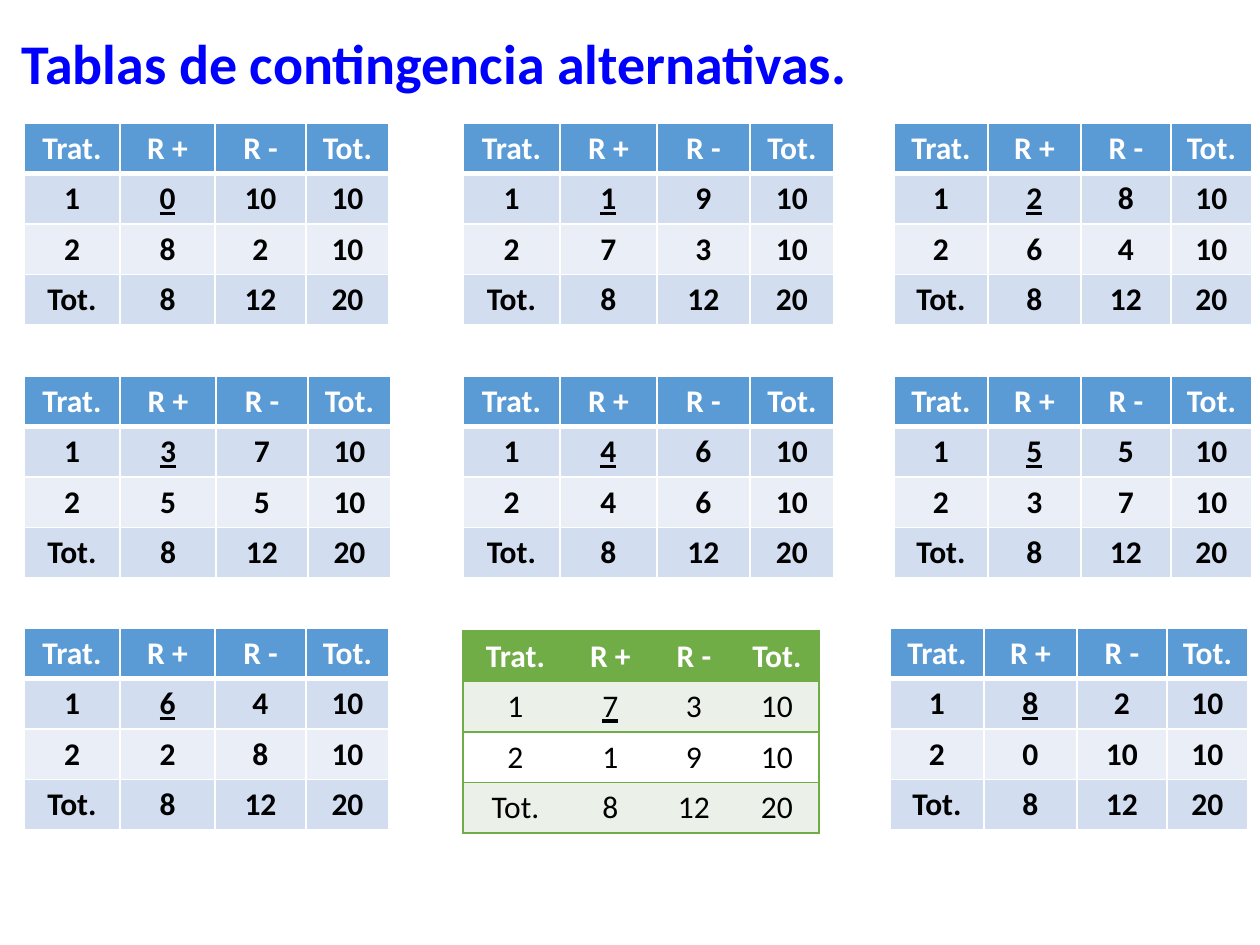
from lxml.etree import SubElement
from pptx import Presentation
from pptx.dml.color import RGBColor
from pptx.enum.text import MSO_ANCHOR, MSO_AUTO_SIZE, PP_ALIGN
from pptx.oxml.ns import qn
from pptx.util import Emu, Pt

# Content: every table follows from its first count and the fixed totals
TITLE = "Tablas de contingencia alternativas."
HEADER = ["Trat.", "R +", "R -", "Tot."]
GROUP, POSITIVES = 10, 8
OBSERVED = 7

# Layout in px: left, top and column widths of each table
NARROW, MEDIUM, WIDE, RIGHT = (96, 95, 91, 83), (96, 96, 92, 83), (97, 97, 93, 84), (94, 93, 90, 81)
TABLES = [
    (24, 123, NARROW), (463, 123, WIDE), (894, 123, RIGHT),
    (24, 376, MEDIUM), (463, 376, WIDE), (894, 376, RIGHT),
    (24, 628, NARROW), (463, 631, (105, 85, 82, 84)), (890, 628, RIGHT),
]
ROW_H = 50
COLORS = {"title": "0000FF", "white": "FFFFFF", "black": "000000"}
BLUE = {"head": "5B9BD5", "bands": ("D2DEEF", "EAEFF7"), "line": "FFFFFF",
        "head_line": 3, "inner": True, "bold": True}
GREEN = {"head": "70AD47", "bands": ("EBF1E9", "FFFFFF"), "line": "70AD47",
         "head_line": 1, "inner": False, "bold": False}


def px(n):
    return Emu(round(n * 914400 / 126))


def contingency(a):
    c = POSITIVES - a
    return [HEADER, [1, a, GROUP - a, GROUP], [2, c, GROUP - c, GROUP],
            ["Tot.", POSITIVES, 2 * GROUP - POSITIVES, 2 * GROUP]]


def set_borders(cell, borders, color):
    """Draw the sides given as {side: points}; zero points hides a side."""
    tc_pr = cell._tc.get_or_add_tcPr()
    for i, side in enumerate("LRTB"):
        ln = SubElement(tc_pr, qn(f"a:ln{side}"), w=str(Pt(borders[side])))
        if borders[side]:
            fill = SubElement(ln, qn("a:solidFill"))
            SubElement(fill, qn("a:srgbClr"), val=color)
        else:
            SubElement(ln, qn("a:noFill"))
        tc_pr.insert(i, ln)


def add_contingency_table(s, a, left, top, widths, style):
    rows = contingency(a)
    frame = s.shapes.add_table(len(rows), len(widths), px(left), px(top),
                               px(sum(widths)), px(ROW_H * len(rows)))
    table = frame.table
    for column, width in zip(table.columns, widths):
        column.width = px(width)
    for r, values in enumerate(rows):
        table.rows[r].height = px(ROW_H)
        for c, value in enumerate(values):
            cell = table.cell(r, c)
            cell.fill.solid()
            fill = style["bands"][(r - 1) % 2] if r else style["head"]
            cell.fill.fore_color.rgb = RGBColor.from_string(fill)
            set_borders(cell, {
                "L": int(style["inner"] or c == 0),
                "R": int(style["inner"] or c == len(widths) - 1),
                "T": style["head_line"] if r == 1 else 1,
                "B": style["head_line"] if r == 0 else 1,
            }, style["line"])
            p = cell.text_frame.paragraphs[0]
            p.text = str(value)
            p.alignment = PP_ALIGN.CENTER
            font = p.runs[0].font
            font.name, font.size = "Calibri", Pt(18)
            font.bold = r == 0 or style["bold"]
            font.underline = (r, c) == (1, 1)
            font.color.rgb = RGBColor.from_string(COLORS["black" if r else "white"])


def main():
    prs = Presentation()
    prs.slide_width, prs.slide_height = px(1260), px(945)
    s = prs.slides.add_slide(prs.slide_layouts[5])

    # Title
    title = s.shapes.title
    title.left, title.top, title.width, title.height = px(9), px(29), px(1251), px(74)
    tf = title.text_frame
    tf.word_wrap = True
    tf.auto_size = MSO_AUTO_SIZE.SHAPE_TO_FIT_TEXT
    tf.vertical_anchor = MSO_ANCHOR.MIDDLE
    p = tf.paragraphs[0]
    p.text = TITLE
    p.alignment = PP_ALIGN.LEFT
    p.line_spacing = 0.9
    p.font.name, p.font.size, p.font.bold = "Calibri", Pt(32), True
    p.font.color.rgb = RGBColor.from_string(COLORS["title"])

    # Tables, with the observed one in green
    for a, (left, top, widths) in enumerate(TABLES):
        add_contingency_table(s, a, left, top, widths, GREEN if a == OBSERVED else BLUE)

    prs.save("out.pptx")


if __name__ == "__main__":
    main()
